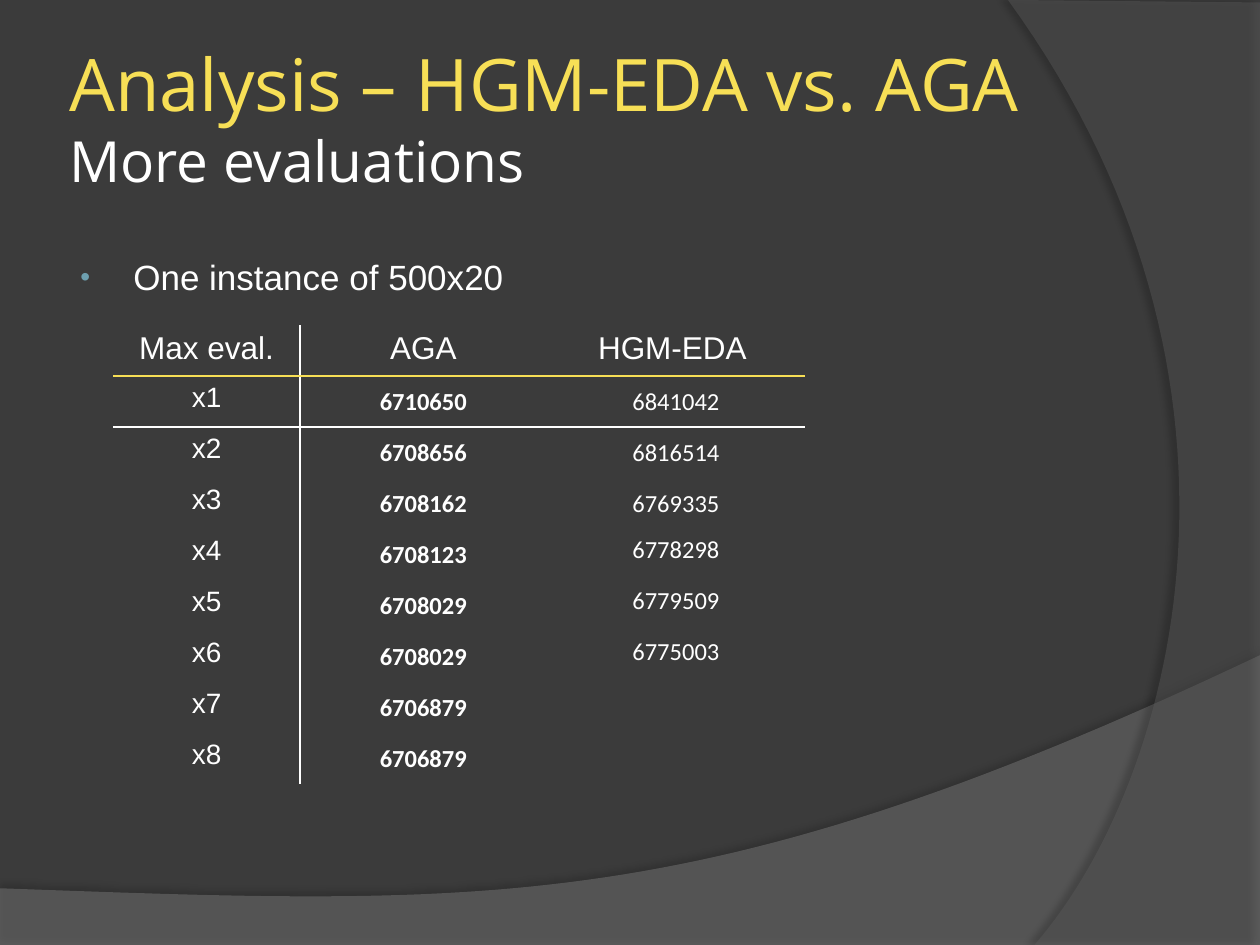
import lxml.etree
import pptx
import pptx.dml.color
import pptx.enum.text
import pptx.oxml
import pptx.oxml.ns
import pptx.util

Inches, Pt = pptx.util.Inches, pptx.util.Pt
qn = pptx.oxml.ns.qn
CENTER = pptx.enum.text.PP_ALIGN.CENTER
MIDDLE = pptx.enum.text.MSO_ANCHOR.MIDDLE

THEME = {
    "background": "3B3B3B", "wave": "7F7F7F", "arc": "5E5E5E",
    "accent": "F7DF56", "text": "FFFFFF", "bullet": "6EA0B0",
    "title_font": "Open Sans", "body_font": "Arial", "number_font": "Calibri",
    "title": 41.4, "subtitle": 32.4, "body": 20,
    "header": 18, "label": 16, "number": 14,
}


def add_run(paragraph, text, font, size, color="text", bold=False):
    """Add one run styled by theme keys."""
    run = paragraph.add_run()
    run.text = text
    run.font.name = THEME[font]
    run.font.size = Pt(THEME[size])
    run.font.bold = bold
    run.font.color.rgb = pptx.dml.color.RGBColor.from_string(THEME[color])


def add_xml(parent, tag, **attributes):
    """Append a DrawingML element and return it."""
    element = lxml.etree.SubElement(parent, qn("a:" + tag))
    for name, value in attributes.items():
        element.set(name, str(value))
    return element


presentation = pptx.Presentation()
presentation.slide_width, presentation.slide_height = Inches(10), Inches(7.5)
slide = presentation.slides.add_slide(presentation.slide_layouts[6])
slide.background.fill.solid()
slide.background.fill.fore_color.rgb = pptx.dml.color.RGBColor.from_string(THEME["background"])

# Background swooshes: one cubic curve each, closed by straight corners
swooshes = [
    # color, opacity, curve, corners, shadow opacity, distance, direction
    ("wave", 45, [(10, 5.2), (5.59, 7.29), (3.91, 7.19), (0, 7.05)],
     [(0, 7.51), (10, 7.51)], 35, 3.5, 270),
    ("arc", 40, [(8.21, 7.5), (9.35, 6.19), (10.18, 3), (8, 0)],
     [(10, 0.02), (10, 7.5)], 45, 4, 180),
]
steps = 60
for color, opacity, curve, corners, shadow_opacity, distance, direction in swooshes:
    points = []
    for step in range(steps + 1):
        t = step / steps
        weights = [(1 - t) ** 3, 3 * t * (1 - t) ** 2, 3 * t ** 2 * (1 - t), t ** 3]
        points.append([sum(w * p[axis] for w, p in zip(weights, curve)) for axis in (0, 1)])
    outline = [(Inches(x), Inches(y)) for x, y in points + corners]
    builder = slide.shapes.build_freeform(*outline[0], scale=1.0)
    builder.add_line_segments(outline[1:], close=True)
    swoosh = builder.convert_to_shape()
    swoosh.line.fill.background()
    swoosh.fill.solid()
    swoosh.fill.fore_color.rgb = pptx.dml.color.RGBColor.from_string(THEME[color])
    properties = swoosh.element.spPr
    add_xml(properties.find(".//" + qn("a:solidFill"))[0], "alpha", val=opacity * 1000)
    shadow = add_xml(add_xml(properties, "effectLst"), "outerShdw", blurRad=Pt(4),
                     dist=Pt(distance), dir=direction * 60000, algn="ctr", rotWithShape=0)
    add_xml(add_xml(shadow, "srgbClr", val="000000"), "alpha", val=shadow_opacity * 1000)

# Title
title = slide.shapes.add_textbox(Inches(0.5), Inches(0.3), Inches(8.94), Inches(1.25)).text_frame
title.word_wrap = True
title.vertical_anchor = MIDDLE
title.margin_left = title.margin_right = Inches(0.05)
paragraph = title.paragraphs[0]
add_run(paragraph, "Analysis – HGM-EDA vs. AGA", "title_font", "title", "accent")
paragraph.add_line_break()
add_run(paragraph, "More evaluations", "title_font", "subtitle")

# Results table
header = ["Max eval.", "AGA", "HGM-EDA "]
aga = [6710650, 6708656, 6708162, 6708123, 6708029, 6708029, 6706879, 6706879]
hgm_eda = [6841042, 6816514, 6769335, 6778298, 6779509, 6775003, "", ""]
rows = [header] + [[f"x{factor}", str(first), str(second)]
                   for factor, (first, second) in enumerate(zip(aga, hgm_eda), start=1)]
column_widths = [1.48, 1.96, 2.05]
row_height = 0.405
table = slide.shapes.add_table(len(rows), len(header), Inches(0.9), Inches(2.58),
                               Inches(sum(column_widths)), Inches(row_height * len(rows))).table
table.first_row = table.horz_banding = False
for column, width in zip(table.columns, column_widths):
    column.width = Inches(width)
horizontal_rules = {1: "accent", 2: "text"}
vertical_rules = {1: "text"}
for row_index, row in enumerate(rows):
    table.rows[row_index].height = Inches(row_height)
    for column_index, text in enumerate(row):
        cell = table.cell(row_index, column_index)
        borders = {
            "lnL": vertical_rules.get(column_index),
            "lnR": vertical_rules.get(column_index + 1),
            "lnT": horizontal_rules.get(row_index),
            "lnB": horizontal_rules.get(row_index + 1),
        }
        for side, color in borders.items():
            border = add_xml(cell._tc.get_or_add_tcPr(), side, w=Pt(1))
            if color:
                add_xml(add_xml(border, "solidFill"), "srgbClr", val=THEME[color])
            else:
                add_xml(border, "noFill")
        cell.fill.background()
        paragraph = cell.text_frame.paragraphs[0]
        paragraph.alignment = CENTER
        if not text:
            paragraph.font.size = Pt(THEME["number"])
        elif row_index == 0:
            add_run(paragraph, text, "body_font", "header")
        elif column_index == 0:
            add_run(paragraph, text, "body_font", "label")
        else:
            add_run(paragraph, text, "number_font", "number", bold=column_index == 1)
            if column_index == 1 or row_index <= 3:
                cell.vertical_anchor = MIDDLE
                cell.margin_left = cell.margin_right = cell.margin_top = Inches(0.01)
                cell.margin_bottom = 0

# Bullet
body = slide.shapes.add_textbox(Inches(0.5), Inches(1.98), Inches(8.17), Inches(4.72)).text_frame
body.word_wrap = True
paragraph = body.paragraphs[0]
paragraph.space_before = Pt(4)
add_run(paragraph, "One instance of 500x20", "body_font", "body")
bullet = paragraph._p.get_or_add_pPr()
bullet.set("marL", str(Inches(0.46)))
bullet.set("indent", str(Inches(-0.42)))
add_xml(add_xml(bullet, "buClr"), "srgbClr", val=THEME["bullet"])
add_xml(bullet, "buSzPct", val=80000)
add_xml(bullet, "buFont", typeface=THEME["body_font"])
add_xml(bullet, "buChar", char="•")

presentation.save("out.pptx")
